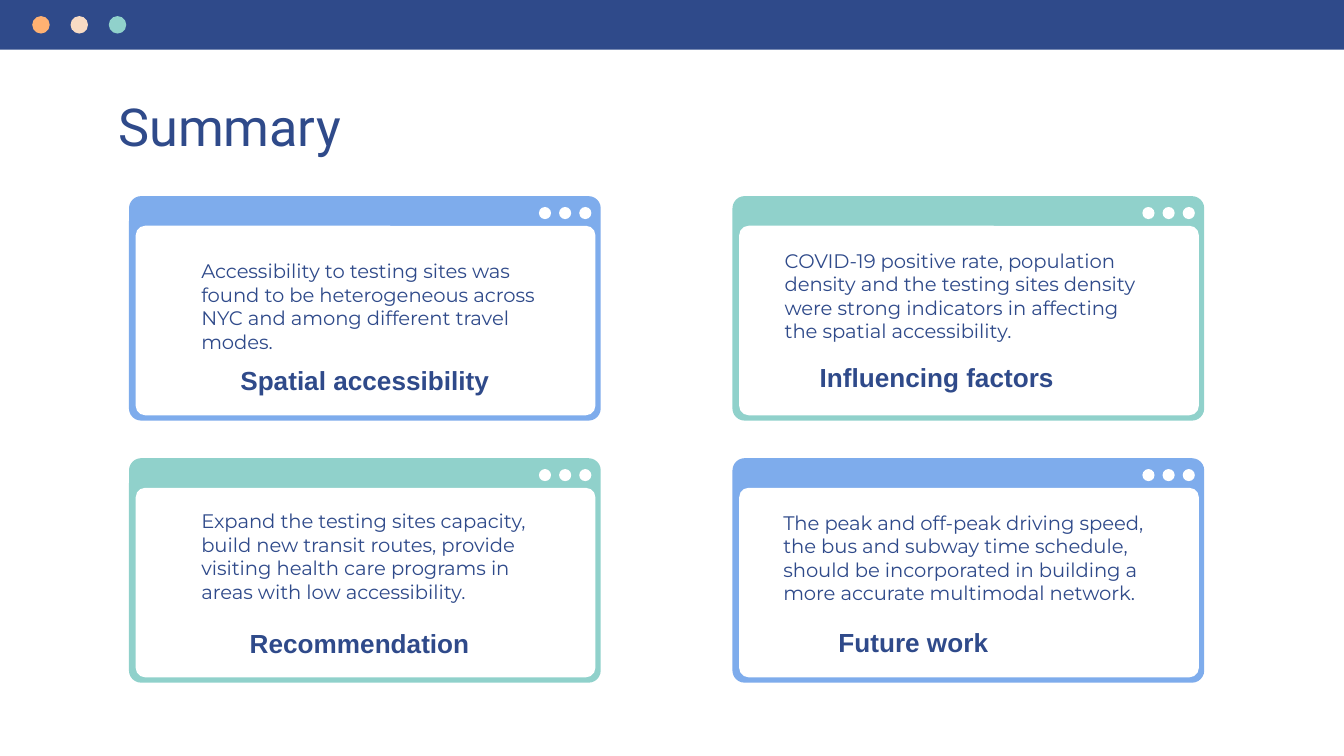
from dataclasses import dataclass

from pptx import Presentation
from pptx.dml.color import RGBColor
from pptx.enum.shapes import MSO_SHAPE as Shape
from pptx.enum.text import MSO_ANCHOR as Anchor, PP_ALIGN as Align
from pptx.util import Inches, Pt


@dataclass(frozen=True)
class Theme:
    navy: str = "2F4A8A"
    blue: str = "7EACEC"
    teal: str = "90D1CB"
    orange: str = "FFB172"
    cream: str = "F8DBC4"
    white: str = "FFFFFF"
    title_font: str = "Roboto"
    body_font: str = "Montserrat"
    caption_font: str = "Arial"
    title_size: float = 28
    body_size: float = 10.5
    caption_size: float = 14


THEME = Theme()
SLIDE_W = 10
SLIDE_H = SLIDE_W * 9 / 16
WINDOW_W, WINDOW_H = 3.51, 1.67
COLUMNS, ROWS = (0.96, 5.45), (1.46, 3.41)

# Column, row, frame colour, finding (left, top, width in the window),
# caption (left, top in the window)
WINDOWS = [
    (0, 0, THEME.blue,
     "Accessibility to testing sites was found to be heterogeneous across "
     "NYC and among different travel modes.", (0.44, 0.37, 2.9),
     "Spatial accessibility", (0.73, 1.2)),
    (1, 0, THEME.teal,
     "COVID-19 positive rate, population density and the testing sites "
     "density were strong indicators in affecting the spatial accessibility.",
     (0.29, 0.29, 2.9),
     "Influencing factors", (0.55, 1.18)),
    (0, 1, THEME.teal,
     "Expand the testing sites capacity, build new transit routes, provide "
     "visiting health care programs in areas with low accessibility.",
     (0.44, 0.28, 2.9),
     "Recommendation", (0.8, 1.21)),
    (1, 1, THEME.blue,
     "The peak and off-peak driving speed, the bus and subway time schedule, "
     "should be incorporated in building a more accurate multimodal network.",
     (0.28, 0.29, 3.09),
     "Future work", (0.69, 1.2)),
]


def add_filled(slide, kind, left, top, width, height, color, radius=None):
    shape = slide.shapes.add_shape(
        kind, Inches(left), Inches(top), Inches(width), Inches(height))
    shape.shadow.inherit = False
    shape.fill.solid()
    shape.fill.fore_color.rgb = RGBColor.from_string(color)
    shape.line.fill.background()
    if radius is not None:
        shape.adjustments[0] = radius / min(width, height)


def write(frame, text, font, size, inset_y, bold=False, space_after=0):
    frame.word_wrap = True
    frame.vertical_anchor = Anchor.TOP
    frame.margin_left = frame.margin_right = Inches(0.1)
    frame.margin_top = frame.margin_bottom = Inches(inset_y)
    paragraph = frame.paragraphs[0]
    paragraph.alignment = Align.LEFT
    paragraph.space_after = Pt(space_after)
    run = paragraph.add_run()
    run.text = text
    run.font.name = font
    run.font.size = Pt(size)
    run.font.bold = bold
    run.font.color.rgb = RGBColor.from_string(THEME.navy)


def add_text(slide, left, top, width, height, *content, **style):
    box = slide.shapes.add_textbox(
        Inches(left), Inches(top), Inches(width), Inches(height))
    write(box.text_frame, *content, **style)


def add_top_bar(slide, left, top, width, height):
    add_filled(slide, Shape.RECTANGLE, left, top, width, height, THEME.navy)
    dot = 0.13
    dot_gap = (0.81 - 0.24) / 2
    for i, color in enumerate((THEME.orange, THEME.cream, THEME.teal)):
        add_filled(slide, Shape.OVAL, left + 0.24 + i * dot_gap,
                   top + (height - dot) / 2, dot, dot, color)


def add_title(slide, left, top, width, height):
    title = slide.shapes.title
    title.left, title.top = Inches(left), Inches(top)
    title.width, title.height = Inches(width), Inches(height)
    write(title.text_frame, "Summary", THEME.title_font, THEME.title_size, 0.1)


def add_window(slide, left, top, width, height, color,
               finding, finding_box, caption, caption_at):
    # Frame and pane
    add_filled(slide, Shape.ROUNDED_RECTANGLE, left, top, width, height,
               color, 0.09)
    add_filled(slide, Shape.ROUNDED_RECTANGLE, left + 0.05, top + 0.22,
               width - 0.09, height - 0.26, THEME.white, 0.07)

    # Window buttons
    for i in range(3):
        add_filled(slide, Shape.OVAL, left + width - 0.46 + i * 0.15,
                   top + 0.08, 0.09, 0.09, THEME.white)

    # Finding and its caption
    dx, dy, text_width = finding_box
    add_text(slide, left + dx, top + dy, text_width, 0.92, finding,
             THEME.body_font, THEME.body_size, 0.1, space_after=12)
    dx, dy = caption_at
    add_text(slide, left + dx, top + dy, 2.56, 0.34, caption,
             THEME.caption_font, THEME.caption_size, 0.05, bold=True)


def main():
    deck = Presentation()
    deck.slide_width, deck.slide_height = Inches(SLIDE_W), Inches(SLIDE_H)
    slide = deck.slides.add_slide(deck.slide_layouts.get_by_name("Title Only"))
    add_top_bar(slide, 0, 0, SLIDE_W, 0.37)
    add_title(slide, 0.78, 0.6, 8.44, 0.51)
    for column, row, *content in WINDOWS:
        add_window(slide, COLUMNS[column], ROWS[row], WINDOW_W, WINDOW_H,
                   *content)
    deck.save("out.pptx")


if __name__ == "__main__":
    main()
